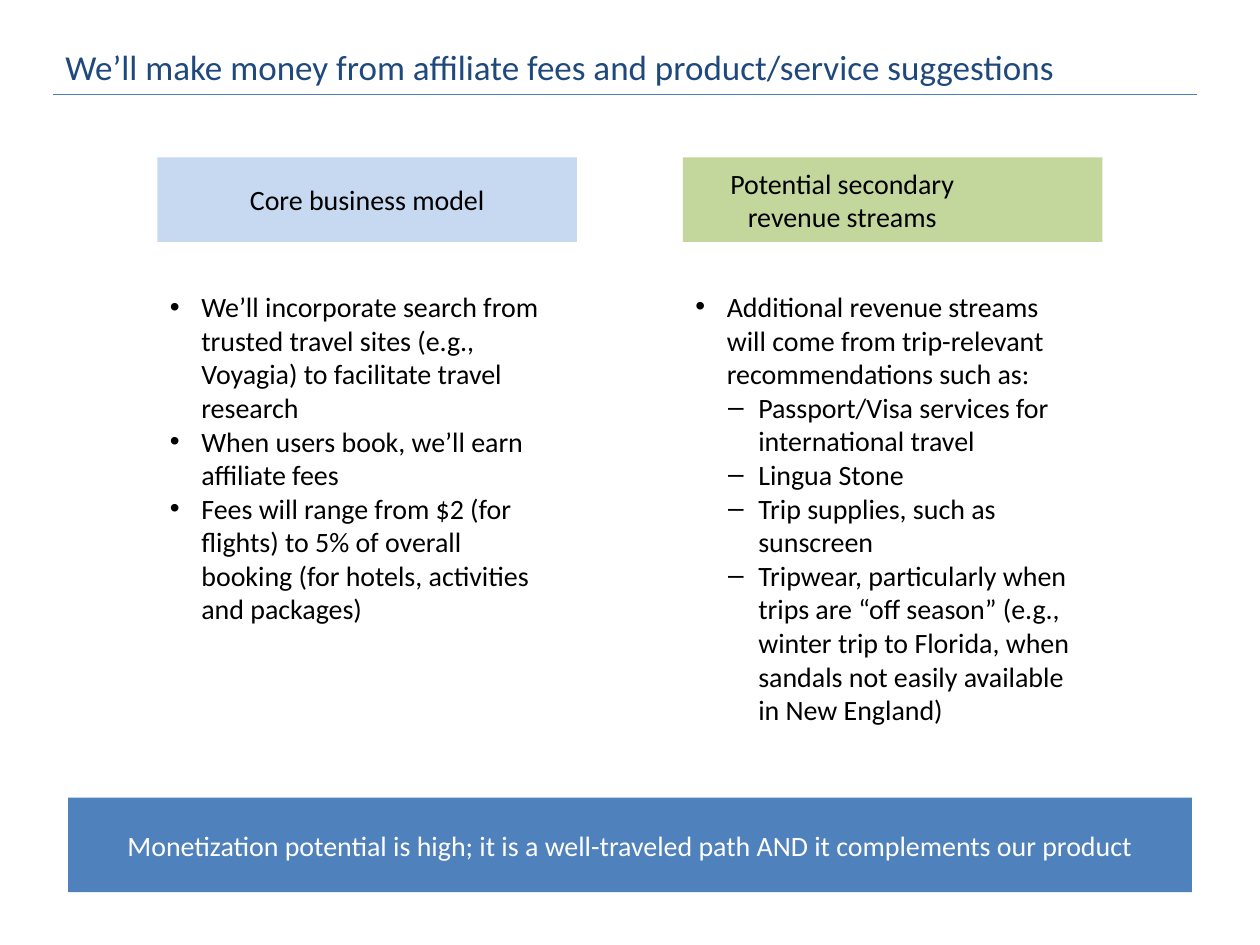
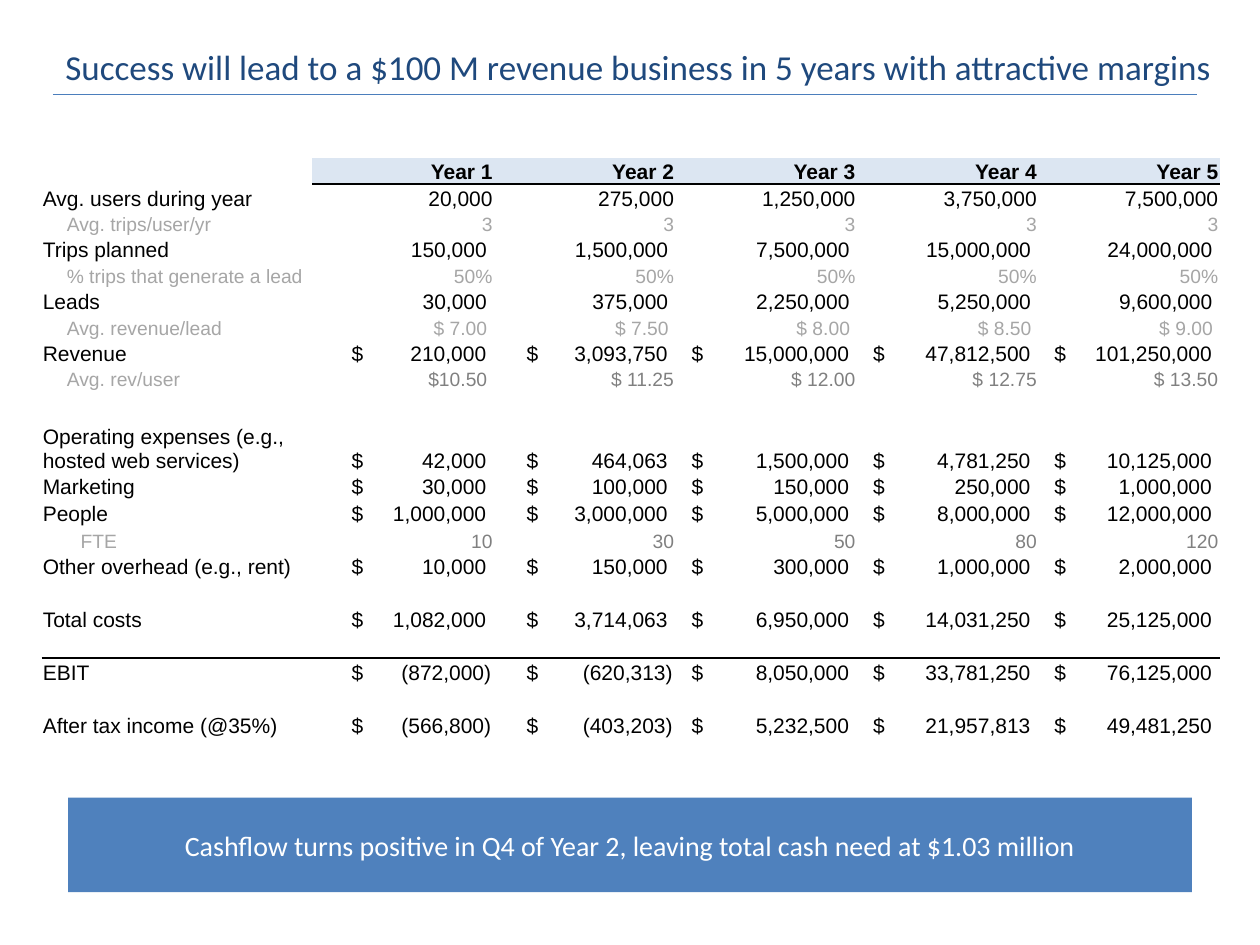
from dataclasses import dataclass

from lxml import etree
from pptx import Presentation
from pptx.dml.color import RGBColor
from pptx.enum.shapes import MSO_CONNECTOR, MSO_SHAPE
from pptx.enum.text import MSO_ANCHOR, PP_ALIGN
from pptx.oxml.ns import qn
from pptx.util import Inches, Pt

LEFT, CENTER, RIGHT = PP_ALIGN.LEFT, PP_ALIGN.CENTER, PP_ALIGN.RIGHT
MIDDLE, BOTTOM = MSO_ANCHOR.MIDDLE, MSO_ANCHOR.BOTTOM
RECTANGLE, STRAIGHT = MSO_SHAPE.RECTANGLE, MSO_CONNECTOR.STRAIGHT
PLAIN_TABLE_STYLE = "{2D5ABB26-0587-4C30-8999-92F81FD0307C}"


@dataclass(frozen=True)
class Theme:
    """Colours, fonts and type sizes of the deck."""
    black: str = "000000"
    white: str = "FFFFFF"
    title: str = "1F497D"
    rule: str = "4B7EBC"
    band: str = "4F81BD"
    core: str = "C6D9F1"
    secondary: str = "C3D69B"
    header: str = "DCE6F2"
    pale: str = "A6A6A6"
    grey: str = "808080"
    text_font: str = "Calibri"
    table_font: str = "Arial"
    title_size: int = 20
    body_size: int = 16
    row_size: int = 12
    detail_size: int = 11


THEME = Theme()
TITLE_BOX = (0.42, 0.31, 9.5, 0.44)
BAND_BOX = (0.54, 6.33, 8.92, 0.75)
COLUMN_TOP, COLUMN_WIDTH = 1.25, 3.33
TABLE_BOX = (0.33, 1.25, 9.35, 4.56)
LABEL_WIDTH, YEAR_WIDTH = 2.15, 1.44
DOLLAR_TABS = (0.3, 0.25, 0.12, 0.12, 0.12)
AMOUNT_TAB, NEGATIVE_TAB = 1.37, 1.41
ROW_HEIGHT = 0.21
OTHER_HEIGHTS = {**dict.fromkeys(range(2, 9), 0.2), 9: 0.24, 10: 0.4}
RULED_ROWS = (0, 17)

CORE_POINTS = [
    (0, "We’ll incorporate search from trusted travel sites (e.g., Voyagia) to facilitate travel research"),
    (0, "When users book, we’ll earn affiliate fees"),
    (0, "Fees will range from $2 (for flights) to 5% of overall booking (for hotels, activities and packages)"),
]
SECONDARY_POINTS = [
    (0, "Additional revenue streams will come from trip-relevant recommendations such as:"),
    (1, "Passport/Visa services for international travel"),
    (1, "Lingua Stone"),
    (1, "Trip supplies, such as sunscreen"),
    (1, "Tripwear, particularly when trips are “off season” (e.g., winter trip to Florida, "
        "when sandals not easily available in New England)"),
]
BULLETS = (("•", 0.25, -0.25), ("‒", 0.5, -0.24))

PLAIN, DOLLAR, DETAIL, DARK_DETAIL, HEADER = "plain", "dollar", "detail", "dark detail", "header"
BLANK_ROW = (PLAIN, "", [""] * 5)
FORECAST = [
    (HEADER, "", [f"Year {year}" for year in range(1, 6)]),
    (PLAIN, "Avg. users during year", ["20,000", "275,000", "1,250,000", "3,750,000", "7,500,000"]),
    (DETAIL, "Avg. trips/user/yr", ["3"] * 5),
    (PLAIN, "Trips planned", ["150,000 ", "1,500,000 ", "7,500,000 ", "15,000,000 ", "24,000,000 "]),
    (DETAIL, "% trips that generate a lead", ["50%"] * 5),
    (PLAIN, "Leads", ["30,000 ", "375,000 ", "2,250,000 ", "5,250,000 ", "9,600,000 "]),
    (DETAIL, "Avg. revenue/lead", ["$ 7.00 ", "$ 7.50 ", "$ 8.00 ", "$ 8.50 ", "$ 9.00 "]),
    (DOLLAR, "Revenue", ["210,000", "3,093,750", "15,000,000", "47,812,500", "101,250,000"]),
    (DARK_DETAIL, "Avg. rev/user", ["$10.50 ", "$ 11.25", "$ 12.00", "$ 12.75", "$ 13.50"]),
    BLANK_ROW,
    (DOLLAR, "Operating expenses (e.g., hosted web services)",
     ["42,000", "464,063", "1,500,000", "4,781,250", "10,125,000"]),
    (DOLLAR, "Marketing", ["30,000", "100,000", "150,000", "250,000", "1,000,000"]),
    (DOLLAR, "People", ["1,000,000", "3,000,000", "5,000,000", "8,000,000", "12,000,000"]),
    (DARK_DETAIL, "FTE", ["10", "30", "50", "80", "120"]),
    (DOLLAR, "Other overhead (e.g., rent)", ["10,000", "150,000", "300,000", "1,000,000", "2,000,000"]),
    BLANK_ROW,
    (DOLLAR, "Total costs", ["1,082,000", "3,714,063", "6,950,000", "14,031,250", "25,125,000"]),
    BLANK_ROW,
    (DOLLAR, "EBIT", ["(872,000)", "(620,313)", "8,050,000", "33,781,250", "76,125,000"]),
    BLANK_ROW,
    (DOLLAR, "After tax income (@35%)", ["(566,800)", "(403,203)", "5,232,500", "21,957,813", "49,481,250"]),
]


def inches(*lengths):
    """Turn plain numbers into lengths."""
    return [Inches(length) for length in lengths]


def rgb(code):
    """Turn a hex code into a colour."""
    return RGBColor.from_string(code)


def add_node(parent, tag, **attributes):
    """Append an XML element with its attributes."""
    return etree.SubElement(parent, qn(tag), {key: str(value) for key, value in attributes.items()})


def format_text(para, size, color, font=THEME.text_font, bold=False, align=LEFT):
    """Format a paragraph and its runs."""
    para.alignment = align
    for span in para.runs:
        span.font.size, span.font.name, span.font.bold = Pt(size), font, bold
        span.font.color.rgb = rgb(color)


def add_panel(page, box, text, fill, color):
    """Draw a filled rectangle with centred text."""
    panel = page.shapes.add_shape(RECTANGLE, *inches(*box))
    panel.shadow.inherit = False
    panel.fill.solid()
    panel.fill.fore_color.rgb = rgb(fill)
    panel.line.fill.background()
    panel.text_frame.word_wrap = True
    panel.text_frame.vertical_anchor = MIDDLE
    panel.text_frame.text = text
    for para in panel.text_frame.paragraphs:
        format_text(para, THEME.body_size, color, align=CENTER)
    return panel


def add_frame(deck, title, conclusion):
    """Add a page with its title, rule and closing band."""
    page = deck.slides.add_slide(deck.slide_layouts[6])
    rule = page.shapes.add_connector(STRAIGHT, *inches(0.42, 0.75, 9.5, 0.75))
    rule.line.color.rgb = rgb(THEME.rule)
    rule.line.width = Pt(0.75)
    add_node(rule._element.spPr, "a:effectLst")
    heading = page.shapes.add_textbox(*inches(*TITLE_BOX)).text_frame
    heading.word_wrap = True
    heading.text = title
    format_text(heading.paragraphs[0], THEME.title_size, THEME.title)
    add_panel(page, BAND_BOX, conclusion, THEME.band, THEME.white)
    return page


def add_points(page, box, points):
    """Write a bulleted list of two levels."""
    frame = page.shapes.add_textbox(*inches(*box)).text_frame
    frame.word_wrap = True
    frame.text = "\n".join(text for _, text in points)
    for para, (level, _) in zip(frame.paragraphs, points):
        symbol, margin, indent = BULLETS[level]
        para.level = level
        format_text(para, THEME.body_size, THEME.black)
        properties = para._p.get_or_add_pPr()
        properties.set("marL", str(Inches(margin)))
        properties.set("indent", str(Inches(indent)))
        add_node(properties, "a:buFont", typeface="Arial")
        add_node(properties, "a:buChar", char=symbol)


def add_column(page, left, heading, fill, points, height):
    """Place a heading panel above its list and return the panel."""
    panel = add_panel(page, (left, COLUMN_TOP, COLUMN_WIDTH, 0.67), heading, fill, THEME.black)
    add_points(page, (left, COLUMN_TOP + 1, COLUMN_WIDTH - 0.08, height), points)
    return panel


def add_bottom_border(cell):
    """Draw a thin black line under a cell."""
    line = etree.Element(qn("a:lnB"), w=str(Pt(1)))
    add_node(add_node(line, "a:solidFill"), "a:srgbClr", val=THEME.black)
    cell._tc.get_or_add_tcPr().insert(0, line)


def fill_cell(cell, text, size, color, bold=False, align=RIGHT):
    """Write a table cell and return its paragraph."""
    cell.margin_left, cell.margin_right, cell.margin_top, cell.margin_bottom = inches(0.01, 0.01, 0.01, 0)
    cell.vertical_anchor = BOTTOM
    cell.fill.background()
    para = cell.text_frame.paragraphs[0]
    para.text = text
    format_text(para, size, color, THEME.table_font, bold, align)
    if not text:
        add_node(para._p, "a:endParaRPr", sz=size * 100)
    return para


def fill_label(cell, kind, text):
    """Write a row label, indented when it is a detail."""
    detail = kind in (DETAIL, DARK_DETAIL)
    size, color = (THEME.detail_size, THEME.pale) if detail else (THEME.row_size, THEME.black)
    para = fill_cell(cell, text, size, color, align=LEFT)
    if detail:
        para._p.get_or_add_pPr().set("marL", str(Inches(0.19)))
    if text == "FTE":
        cell.margin_left = Inches(0.12)


def fill_value(cell, kind, text, dollar_tab):
    """Write a yearly value in the manner of its row."""
    if kind == DOLLAR:
        para = fill_cell(cell, f"\t$\t{text}", THEME.row_size, THEME.black, align=LEFT)
        stops = add_node(para._p.get_or_add_pPr(), "a:tabLst")
        amount_tab = NEGATIVE_TAB if text.startswith("(") else AMOUNT_TAB
        add_node(stops, "a:tab", pos=Inches(dollar_tab), algn="l")
        add_node(stops, "a:tab", pos=Inches(amount_tab), algn="r")
    elif kind in (DETAIL, DARK_DETAIL):
        fill_cell(cell, text, THEME.detail_size, THEME.pale if kind == DETAIL else THEME.grey)
    else:
        fill_cell(cell, text, THEME.row_size, THEME.black, bold=kind == HEADER)
    if kind == HEADER:
        cell.fill.solid()
        cell.fill.fore_color.rgb = rgb(THEME.header)


def add_forecast(page, box):
    """Build the five-year forecast table."""
    table = page.shapes.add_table(len(FORECAST), 6, *inches(*box)).table
    table.first_row = table.horz_banding = False
    table._tbl.tblPr.find(qn("a:tableStyleId")).text = PLAIN_TABLE_STYLE
    for index, column in enumerate(table.columns):
        column.width = Inches(YEAR_WIDTH if index else LABEL_WIDTH)
    for index, (kind, label, values) in enumerate(FORECAST):
        table.rows[index].height = Inches(OTHER_HEIGHTS.get(index, ROW_HEIGHT))
        fill_label(table.cell(index, 0), kind, label)
        for year, (value, dollar_tab) in enumerate(zip(values, DOLLAR_TABS), 1):
            fill_value(table.cell(index, year), kind, value, dollar_tab)
        if index in RULED_ROWS:
            for column in range(1 if kind == HEADER else 0, 6):
                add_bottom_border(table.cell(index, column))


def build_revenue_page(deck):
    """Build the page on sources of revenue."""
    page = add_frame(deck, "We’ll make money from affiliate fees and product/service suggestions",
                     "Monetization potential is high; it is a well-traveled path AND it complements our product")
    add_column(page, 1.25, "Core business model", THEME.core, CORE_POINTS, 2.79)
    panel = add_column(page, 5.42, "Potential secondary\nrevenue streams", THEME.secondary, SECONDARY_POINTS, 3.6)
    first_line = panel.text_frame.paragraphs[0]
    first_line._p.get_or_add_pPr().set("marR", str(Inches(0.8)))


def build_forecast_page(deck):
    """Build the page with the financial forecast."""
    page = add_frame(deck, "Success will lead to a $100 M revenue business in 5 years with attractive margins",
                     "Cashflow turns positive in Q4 of Year 2, leaving total cash need at $1.03 million")
    add_forecast(page, TABLE_BOX)


def main():
    """Build and save the deck."""
    deck = Presentation()
    deck.slide_width, deck.slide_height = inches(10, 7.5)
    build_revenue_page(deck)
    build_forecast_page(deck)
    deck.save("out.pptx")


if __name__ == "__main__":
    main()
